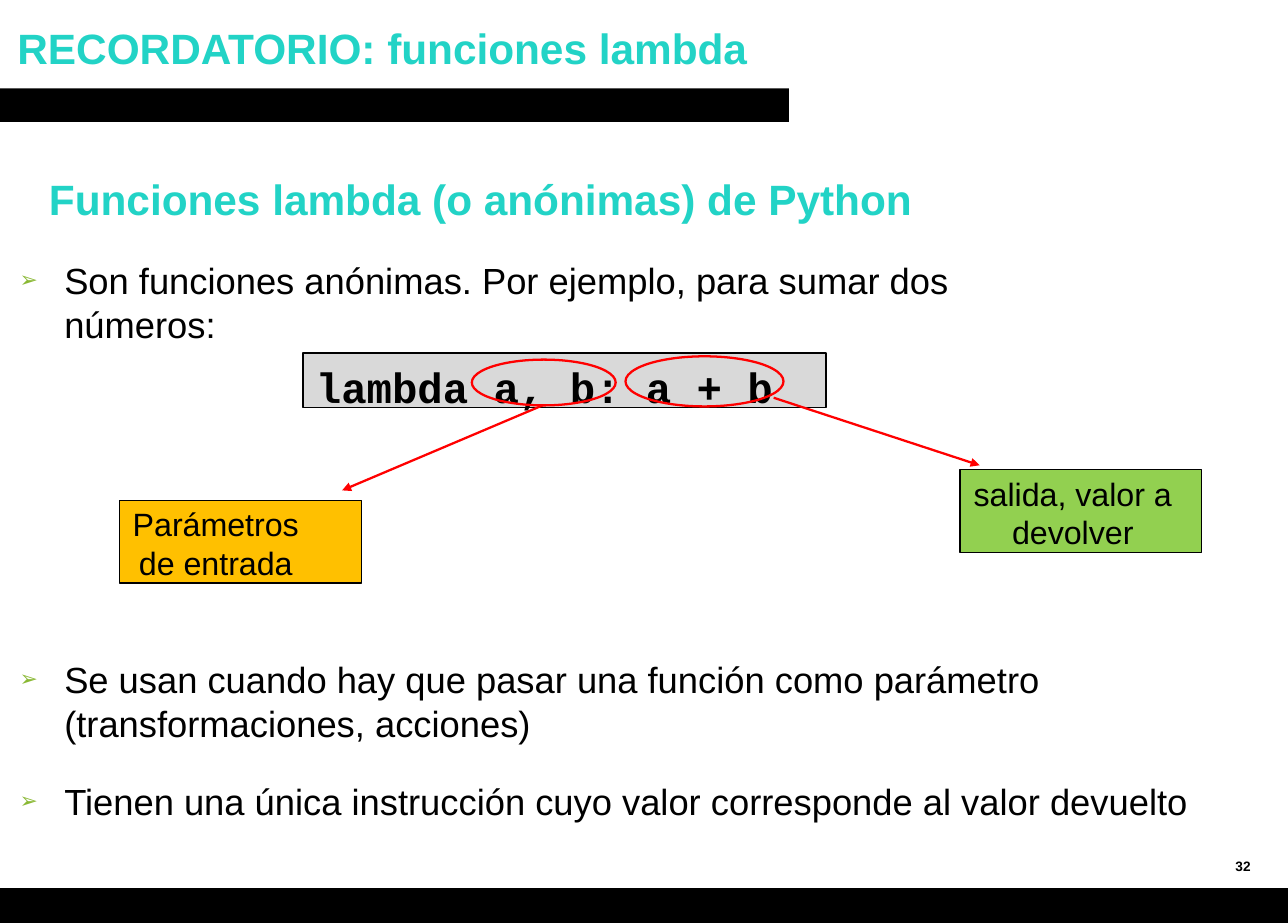
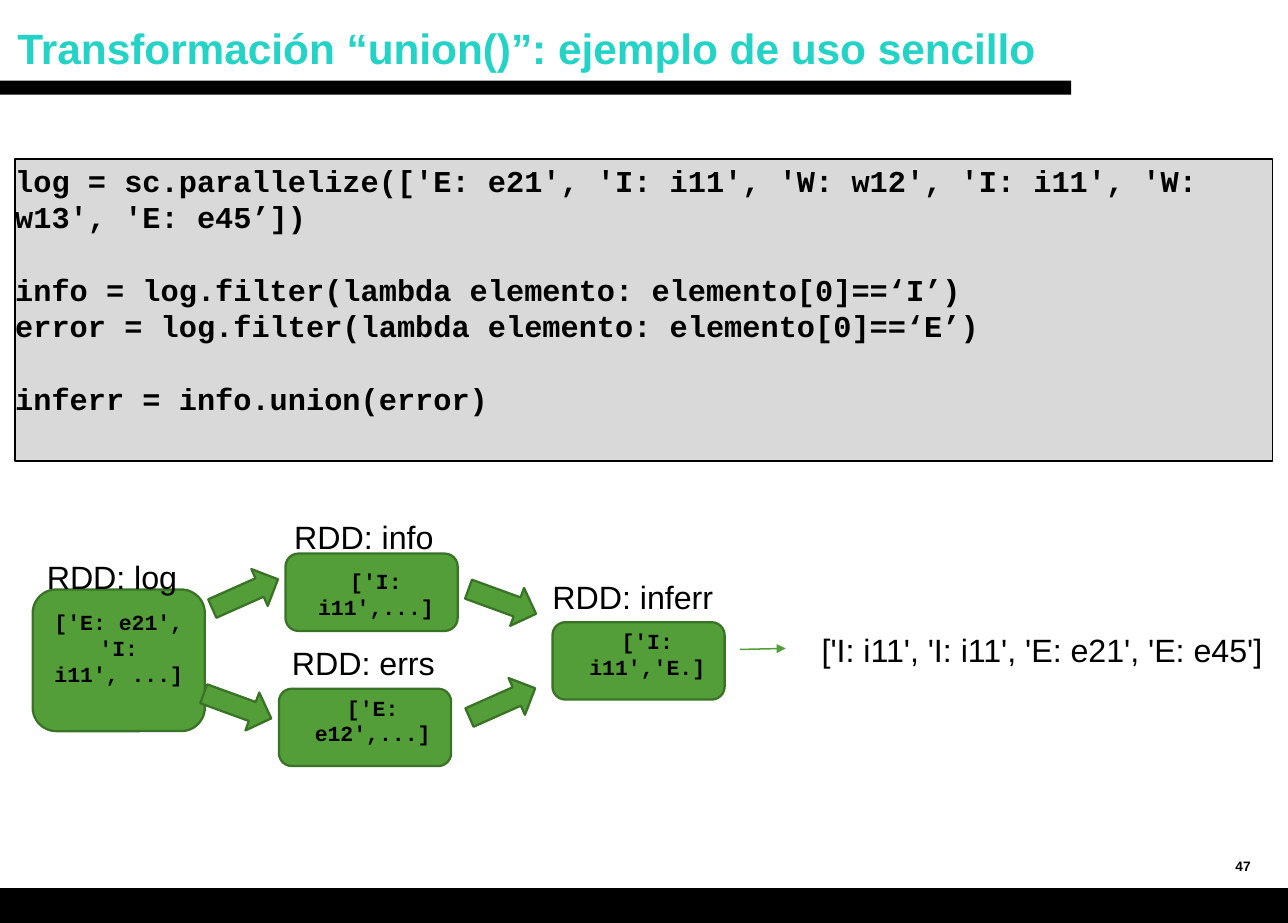
from lxml import etree
from pptx import Presentation
from pptx.dml.color import RGBColor
from pptx.enum.shapes import MSO_CONNECTOR as Connector, MSO_SHAPE as Shape
from pptx.enum.text import MSO_ANCHOR as Anchor, MSO_AUTO_SIZE as AutoSize, PP_ALIGN as Align
from pptx.oxml.ns import qn
from pptx.util import Inches, Pt

SLIDE_W, SLIDE_H = 11.82, 8.47
TWO_CONTENT, TITLE_ONLY = 3, 5
LEADING = 1.2

COLORS = {
    "black": "000000", "turquoise": "22D3C6", "bullet": "89B833",
    "code": "D9D9D9", "input": "FFC000", "output": "92D050",
    "highlight": "FF0000", "node": "539E39", "node_edge": "3A7327",
}

STYLES = {
    "title": {"name": "Arial", "size": Pt(28), "bold": True},
    "list": {"name": "Arial", "size": Pt(24), "bold": False},
    "label": {"name": "Arial", "size": Pt(21.3), "bold": False},
    "number": {"name": "Arial", "size": Pt(9), "bold": True},
    "code_large": {"name": "Courier New", "size": Pt(28), "bold": True},
    "code": {"name": "Courier New", "size": Pt(20), "bold": True},
    "node": {"name": "Courier New", "size": Pt(14.2), "bold": True},
}


def rgb(color):
    return RGBColor.from_string(COLORS[color])


def place(shape, left, top, width, height):
    box = {"left": left, "top": top, "width": width, "height": height}
    for side, length in box.items():
        setattr(shape, side, Inches(length))


def add_bullet(paragraph):
    props = paragraph._p.get_or_add_pPr()
    props.set("marL", str(Inches(0.43)))
    props.set("indent", str(Inches(-0.41)))
    color = etree.SubElement(props, qn("a:buClr"))
    etree.SubElement(color, qn("a:srgbClr")).set("val", COLORS["bullet"])
    etree.SubElement(props, qn("a:buSzPct")).set("val", "60000")
    etree.SubElement(props, qn("a:buChar")).set("char", "➢")


def write(shape, lines, style, color="black", align=Align.LEFT, anchor=Anchor.TOP,
          insets=(0, 0, 0, 0), bullets=False):
    """Fill a shape with (text, points of space before) lines; insets run left, top, right, bottom."""
    frame = shape.text_frame
    frame_format = {"word_wrap": True, "auto_size": AutoSize.NONE, "vertical_anchor": anchor}
    for side, inset in zip(("left", "top", "right", "bottom"), insets):
        frame_format[f"margin_{side}"] = Inches(inset)
    for name, value in frame_format.items():
        setattr(frame, name, value)
    for index, (text, space) in enumerate(lines):
        paragraph = frame.add_paragraph() if index else frame.paragraphs[0]
        if bullets:
            add_bullet(paragraph)
        paragraph_format = {
            "alignment": align, "space_before": Pt(space), "space_after": Pt(0),
            "line_spacing": Pt(STYLES[style]["size"].pt * LEADING),
        }
        for name, value in paragraph_format.items():
            setattr(paragraph, name, value)
        run = paragraph.add_run()
        run.text = text
        for name, value in STYLES[style].items():
            setattr(run.font, name, value)
        run.font.color.rgb = rgb(color)


def add_text(slide, box, text, style, **options):
    textbox = slide.shapes.add_textbox(*map(Inches, box))
    write(textbox, [(text, 0)], style, **options)


def add_figure(slide, kind, box, fill=None, line=None, width=1.0):
    figure = slide.shapes.add_shape(kind, *map(Inches, box))
    figure.shadow.inherit = False
    if fill:
        figure.fill.solid()
        figure.fill.fore_color.rgb = rgb(fill)
    else:
        figure.fill.background()
    if line:
        figure.line.color.rgb = rgb(line)
        figure.line.width = Pt(width)
    else:
        figure.line.fill.background()
    return figure


def add_arrow_line(slide, start, end, color, width):
    arrow = slide.shapes.add_connector(Connector.STRAIGHT, *map(Inches, start + end))
    arrow.line.color.rgb = rgb(color)
    arrow.line.width = Pt(width)
    etree.SubElement(arrow.line._get_or_add_ln(), qn("a:tailEnd")).set("type", "triangle")
    etree.SubElement(arrow.element.spPr, qn("a:effectLst"))


def add_block_arrow(slide, center_x, center_y, angle):
    width, height = 0.66, 0.37
    box = (center_x - width / 2, center_y - height / 2, width, height)
    add_figure(slide, Shape.RIGHT_ARROW, box, "node", "node_edge", 1.5).rotation = angle


def add_footer_band(prs, slide):
    """Draw the bottom band and move it to the master, so every slide shows it."""
    band = add_figure(slide, Shape.RECTANGLE, (0, 8.15, SLIDE_W, SLIDE_H - 8.15), "black")
    band.element.nvSpPr.cNvPr.set("id", "100")
    prs.slide_master.shapes.element.append(band.element)


def add_titled_slide(prs, layout, title, number, rule_box):
    slide = prs.slides.add_slide(prs.slide_layouts[layout])
    place(slide.shapes.title, 0.08, 0.1, 10.08, 0.67)
    write(slide.shapes.title, [(title, 0)], "title", "turquoise",
          anchor=Anchor.MIDDLE, insets=(0.08, 0, 0, 0))
    add_figure(slide, Shape.RECTANGLE, rule_box, "black")
    add_text(slide, (11.24, 7.75, 0.46, 0.4), number, "number",
             anchor=Anchor.MIDDLE, insets=(0.1, 0, 0, 0))
    return slide


def fill_list(placeholder, box, items):
    place(placeholder, *box)
    write(placeholder, items, "list", bullets=True)


def add_callout(slide, left, top, text, fill, insets):
    callout = add_figure(slide, Shape.RECTANGLE, (left, top, 2.22, 0.76), fill, "black", 0.78)
    write(callout, [(text, 0)], "label", align=Align.CENTER, insets=insets)


def add_rdd(slide, box, content, insets, name, name_at):
    node = add_figure(slide, Shape.ROUNDED_RECTANGLE, box, "node", "node_edge", 1.5)
    write(node, [(content, 0)], "node", align=Align.CENTER, insets=insets)
    add_text(slide, name_at + (1.6, 0.36), f"RDD: {name}", "label")


def build_lambda_slide(prs):
    slide = add_titled_slide(prs, TWO_CONTENT, "RECORDATORIO: funciones lambda", "32",
                             (0, 0.81, 7.24, 0.31))
    add_text(slide, (0.45, 1.59, 8.56, 0.49), "Funciones lambda (o anónimas) de Python",
             "title", color="turquoise")
    fill_list(slide.placeholders[1], (0.16, 2.37, 9.9, 0.85), [
        ("Son funciones anónimas. Por ejemplo, para sumar dos números:", 0),
    ])
    fill_list(slide.placeholders[2], (0.16, 6.03, 11.02, 1.6), [
        ("Se usan cuando hay que pasar una función como parámetro "
         "(transformaciones, acciones)", 0),
        ("Tienen una única instrucción cuyo valor corresponde al valor devuelto", 23),
    ])
    code = add_figure(slide, Shape.RECTANGLE, (2.78, 3.24, 4.8, 0.5), "code", "black", 1.02)
    write(code, [("lambda a, b: a + b", 0)], "code_large", insets=(0.12, 0.07, 0, 0))
    for ring_box in ((4.33, 3.3, 1.32, 0.42), (5.74, 3.27, 1.45, 0.46)):
        add_figure(slide, Shape.OVAL, ring_box, line="highlight", width=1.5)
    add_callout(slide, 8.81, 4.31, "salida, valor a devolver", "output", (0.08, 0.04, 0.23, 0))
    add_callout(slide, 1.1, 4.59, "Parámetros de entrada", "input", (0.05, 0.04, 0.51, 0))
    add_arrow_line(slide, (7.1, 3.65), (8.99, 4.27), "highlight", 1.5)
    add_arrow_line(slide, (4.98, 3.72), (3.14, 4.5), "highlight", 1.5)
    return slide


def build_union_slide(prs):
    slide = add_titled_slide(prs, TITLE_ONLY, "Transformación “union()”: ejemplo de uso sencillo",
                             "47", (0, 0.74, 9.83, 0.13))
    code = add_figure(slide, Shape.RECTANGLE, (0.14, 1.46, 11.54, 2.77), "code", "black", 1.02)
    write(code, [
        ("log = sc.parallelize(['E: e21', 'I: i11', 'W: w12', 'I: i11', 'W: w13', 'E: e45’])", 0),
        ("info = log.filter(lambda elemento: elemento[0]==‘I’)", 24),
        ("error = log.filter(lambda elemento: elemento[0]==‘E’)", 0),
        ("inferr = info.union(error)", 24),
    ], "code", insets=(0, 0.03, 0, 0))

    node_w, node_h = 1.58, 0.71
    rdds = [
        ((0.3, 5.41, node_w, 1.3), "['E: e21', 'I: i11', ...]", (0, 0.12, 0, 0),
         "log", (0.43, 5.11)),
        ((2.62, 5.08, node_w, node_h), "['I: i11',...]", (0.08, 0.1, 0, 0),
         "info", (2.7, 4.75)),
        ((2.56, 6.32, node_w, node_h), "['E: e12',...]", (0.14, 0.02, 0, 0),
         "errs", (2.68, 5.9)),
        ((5.07, 5.71, node_w, node_h), "['I: i11','E.]", (0.16, 0.02, 0, 0),
         "inferr", (5.07, 5.3)),
    ]
    for rdd in rdds:
        add_rdd(slide, *rdd)

    up, down = -24, 20
    for flow in ((2.25, 5.45, up), (2.18, 6.48, down), (4.61, 5.52, down), (4.61, 6.45, up)):
        add_block_arrow(slide, *flow)
    add_arrow_line(slide, (6.79, 5.96), (7.21, 5.95), "node", 1)
    add_text(slide, (7.54, 5.78, 4.2, 0.37), "['I: i11', 'I: i11', 'E: e21', 'E: e45']", "label")


def main():
    prs = Presentation()
    prs.slide_width, prs.slide_height = Inches(SLIDE_W), Inches(SLIDE_H)
    add_footer_band(prs, build_lambda_slide(prs))
    build_union_slide(prs)
    prs.save("out.pptx")


if __name__ == "__main__":
    main()
